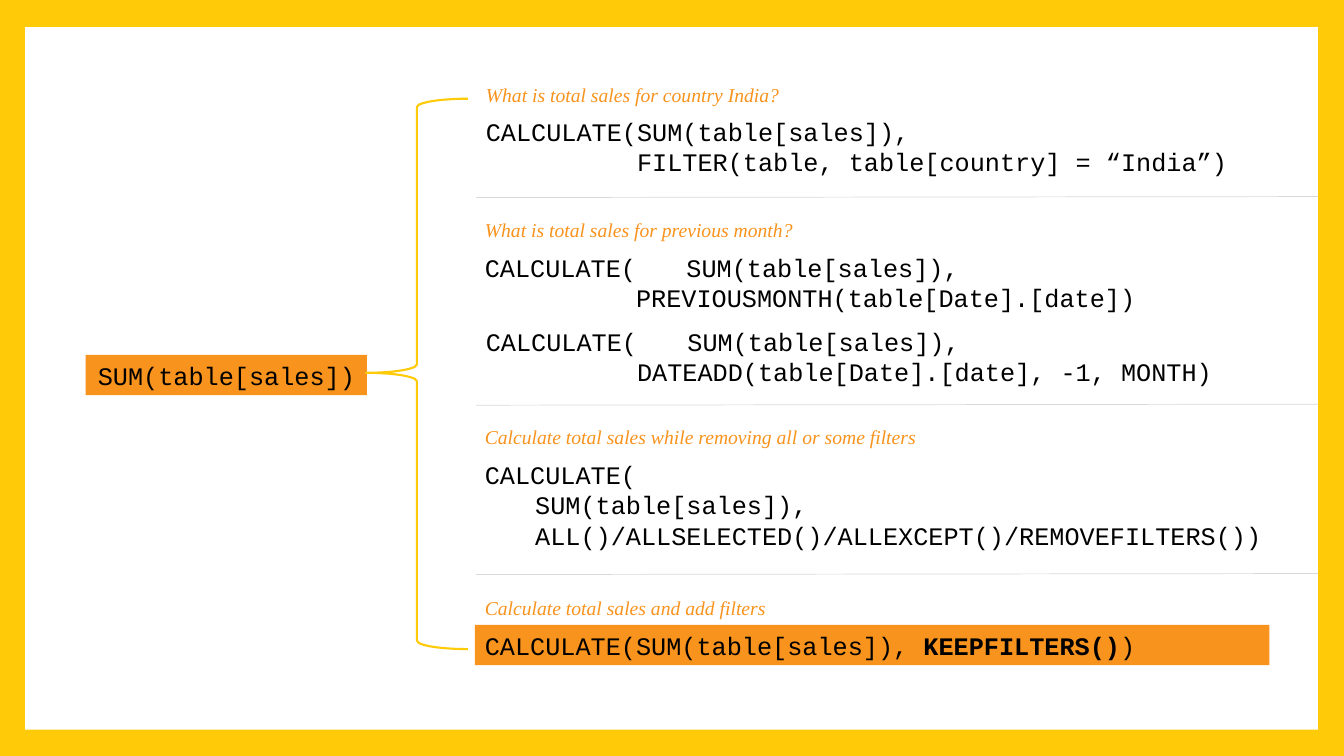
from dataclasses import dataclass
from typing import NamedTuple

from lxml.etree import SubElement
from pptx import Presentation
from pptx.dml.color import RGBColor as RGB
from pptx.enum.shapes import MSO_CONNECTOR as Connector, MSO_SHAPE as Shape
from pptx.enum.text import MSO_ANCHOR as Anchor, PP_ALIGN as Align
from pptx.oxml.ns import qn
from pptx.util import Emu, Pt

PX = 9144  # 100 px to the inch


@dataclass(frozen=True)
class Theme:
    yellow: RGB = RGB.from_string("FFCA08")
    orange: RGB = RGB.from_string("F8931D")
    white: RGB = RGB.from_string("FFFFFF")
    black: RGB = RGB.from_string("000000")
    grey: RGB = RGB.from_string("D9D9D9")
    code_font: str = "Courier New"
    question_font: str = "Times New Roman"
    code_size: int = 18
    question_size: int = 14
    brace_width: float = 1.5
    rule_width: float = 0.5


T = Theme()
CODE = dict(name=T.code_font, size=Pt(T.code_size), color=T.black)
QUESTION = dict(name=T.question_font, size=Pt(T.question_size),
                color=T.orange, italic=True)


class Box(NamedTuple):
    x: int
    y: int
    w: int
    h: int


class Line(NamedTuple):
    text: str
    indent: int = 0  # first-line indent in px
    bold: str = ""
    end: str = ""


class Block(NamedTuple):
    box: Box
    lines: list[Line]
    style: dict


def px(n: int) -> Emu:
    return Emu(n * PX)


def add_run(p, text: str, style: dict, bold: bool = False) -> None:
    r = p.add_run()
    r.text = text
    for key, value in {**style, "bold": bold}.items():
        if key == "color":
            r.font.color.rgb = value
        else:
            setattr(r.font, key, value)


def write(sp, lines: list[Line], style: dict, align=Align.LEFT) -> None:
    tf = sp.text_frame
    tf.word_wrap = True
    for i, line in enumerate(lines):
        p = tf.paragraphs[0] if i == 0 else tf.add_paragraph()
        p.alignment = align
        if line.indent:
            pPr = p._p.get_or_add_pPr()
            pPr.set("marL", "0")
            pPr.set("indent", str(px(line.indent)))
        add_run(p, line.text, style)
        if line.bold:
            add_run(p, line.bold, style, True)
            add_run(p, line.end, style)


def add_rect(s, box: Box, color: RGB):
    sp = s.shapes.add_shape(Shape.RECTANGLE, *map(px, box))
    sp.shadow.inherit = False
    sp.fill.solid()
    sp.fill.fore_color.rgb = color
    sp.line.fill.background()
    sp.text_frame.vertical_anchor = Anchor.MIDDLE
    return sp


def add_text(s, block: Block) -> None:
    write(s.shapes.add_textbox(*map(px, block.box)), block.lines, block.style)


def add_brace(s, box: Box) -> None:
    sp = s.shapes.add_shape(Shape.LEFT_BRACE, *map(px, box))
    sp.shadow.inherit = False
    sp.adjustments[0], sp.adjustments[1] = 0.083, 0.498
    sp.fill.background()
    sp.line.color.rgb = T.yellow
    sp.line.width = Pt(T.brace_width)


def add_rule(s, y: int) -> None:
    c = s.shapes.add_connector(Connector.STRAIGHT, px(472), px(y), px(1307), px(y - 1))
    c.line.color.rgb = T.grey
    c.line.width = Pt(T.rule_width)
    SubElement(c._element.spPr, qn("a:effectLst"))


FORMULAS = [
    Block(Box(472, 110, 759, 71), [
        Line("CALCULATE(SUM(table[sales]),"),
        Line("FILTER(table, table[country] = “India”)", 150)], CODE),
    Block(Box(471, 245, 812, 71), [
        Line("CALCULATE(\tSUM(table[sales]),"),
        Line("PREVIOUSMONTH(table[Date].[date])", 150)], CODE),
    Block(Box(472, 319, 811, 71), [
        Line("CALCULATE(\tSUM(table[sales]),"),
        Line("DATEADD(table[Date].[date], -1, MONTH)", 150)], CODE),
    # Wide enough to keep the last line whole, clear of the rule below
    Block(Box(471, 451, 812, 101), [
        Line("CALCULATE("),
        Line("SUM(table[sales]),", 50),
        Line("ALL()/ALLSELECTED()/ALLEXCEPT()/REMOVEFILTERS())", 50)], CODE),
]
QUESTIONS = [
    Block(Box(x, y, 759, 34), [Line(text)], QUESTION)
    for x, y, text in [
        (472, 77, "What is total sales for country India?"),
        (471, 211, "What is total sales for previous month?"),
        (471, 417, "Calculate total sales while removing all or some filters"),
        (471, 586, "Calculate total sales and add filters"),
    ]
]
RULES = [196, 402, 570]


def main() -> None:
    prs = Presentation()
    prs.slide_width, prs.slide_height = px(1333), px(750)
    s = prs.slides.add_slide(prs.slide_layouts[6])

    # Yellow frame around a white panel
    s.background.fill.solid()
    s.background.fill.fore_color.rgb = T.yellow
    add_rect(s, Box(25, 27, 1282, 697), T.white)

    # Base measure
    measure = add_rect(s, Box(85, 352, 279, 40), T.orange)
    write(measure, [Line("SUM(table[sales])")], CODE, Align.CENTER)

    # Formulas, the last one highlighted
    for block in FORMULAS:
        add_text(s, block)
    keep = add_rect(s, Box(471, 620, 788, 40), T.orange)
    write(keep, [Line("CALCULATE(SUM(table[sales]), ", 0, "KEEPFILTERS()", ")")], CODE)

    # Brace, questions and dividing rules
    add_brace(s, Box(363, 98, 101, 546))
    for block in QUESTIONS:
        add_text(s, block)
    for y in RULES:
        add_rule(s, y)

    prs.save("out.pptx")


if __name__ == "__main__":
    main()
